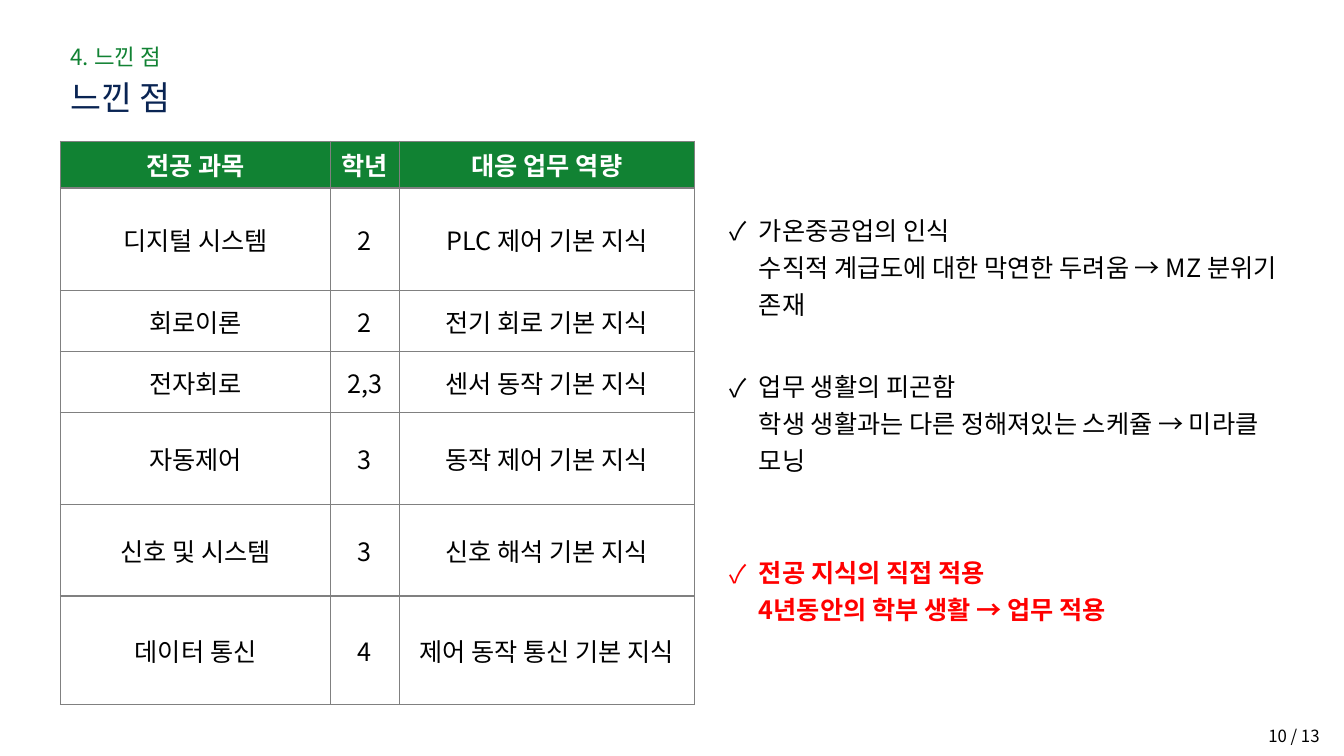
from lxml.etree import SubElement
from pptx import Presentation
from pptx.dml.color import RGBColor
from pptx.enum.text import MSO_ANCHOR as Anchor, PP_ALIGN as Align
from pptx.oxml.ns import qn
from pptx.util import Pt

FONT = "Noto Sans CJK KR"
GREEN, NAVY, GRAY = "118233", "092453", "808080"
BLACK, WHITE, RED = "000000", "FFFFFF", "FF0000"

SECTION = "4. 느낀 점"
TITLE = "느낀 점"
PAGE_NUMBER = "10 / 13"
SUBJECTS = [
    ("전공 과목", "학년", "대응 업무 역량"),
    ("디지털 시스템", "2", "PLC 제어 기본 지식"),
    ("회로이론", "2", "전기 회로 기본 지식"),
    ("전자회로", "2,3", "센서 동작 기본 지식"),
    ("자동제어", "3", "동작 제어 기본 지식"),
    ("신호 및 시스템", "3", "신호 해석 기본 지식"),
    ("데이터 통신", "4", "제어 동작 통신 기본 지식"),
]
COLUMN_WIDTHS = [193, 49, 211]
ROW_HEIGHTS = [33.5, 73.5, 43.5, 43.5, 65.5, 65.5, 77.5]
IMPRESSIONS = [
    ("가온중공업의 인식\v수직적 계급도에 대한 막연한 두려움 → MZ 분위기 존재",
     dict(before=0)),
    ("업무 생활의 피곤함\v학생 생활과는 다른 정해져있는 스케쥴 → 미라클 모닝",
     dict(before=32)),
    ("전공 지식의 직접 적용\v4년동안의 학부 생활 → 업무 적용",
     dict(before=53, color=RED, bold=True)),
]


def rgb(color):
    return RGBColor.from_string(color)


def write(para, text, size=18, color=BLACK, bold=False, align=Align.LEFT,
          spacing=1.0, before=0, bullet=None):
    para.text = text
    para.alignment = align
    para.line_spacing = spacing
    para.space_before = Pt(before)
    if bullet:
        layout = para._p.get_or_add_pPr()
        layout.set("marL", str(Pt(21)))
        layout.set("indent", str(-Pt(21)))
        SubElement(layout, qn("a:buFont"), typeface=FONT)
        SubElement(layout, qn("a:buChar"), char=bullet)
    for span in para.runs:
        span.font.size = Pt(size)
        span.font.bold = bold
        span.font.color.rgb = rgb(color)
        span.font.name = FONT
        SubElement(span._r.get_or_add_rPr(), qn("a:ea"), typeface=FONT)


def add_box(page, left, top, width, height, anchor=Anchor.TOP):
    box = page.shapes.add_textbox(Pt(left), Pt(top), Pt(width), Pt(height))
    box.text_frame.word_wrap = True
    box.text_frame.vertical_anchor = anchor
    return box.text_frame


def add_borders(cell):
    properties = cell._tc.get_or_add_tcPr()
    for position, side in enumerate(("lnL", "lnR", "lnT", "lnB")):
        line = properties.makeelement(qn(f"a:{side}"), {"w": str(Pt(1))})
        fill = SubElement(line, qn("a:solidFill"))
        SubElement(fill, qn("a:srgbClr"), val=GRAY)
        properties.insert(position, line)


def add_subjects(page, left, top):
    frame = page.shapes.add_table(
        len(ROW_HEIGHTS), len(COLUMN_WIDTHS), Pt(left), Pt(top),
        Pt(sum(COLUMN_WIDTHS)), Pt(sum(ROW_HEIGHTS)))
    table = frame.table
    for column, width in zip(table.columns, COLUMN_WIDTHS):
        column.width = Pt(width)
    for row, height in zip(table.rows, ROW_HEIGHTS):
        row.height = Pt(height)
    for row_index, texts in enumerate(SUBJECTS):
        header = row_index == 0
        for column_index, text in enumerate(texts):
            cell = table.cell(row_index, column_index)
            cell.margin_left = cell.margin_right = Pt(5)
            cell.vertical_anchor = Anchor.MIDDLE
            if header:
                cell.fill.solid()
                cell.fill.fore_color.rgb = rgb(GREEN)
            else:
                cell.fill.background()
            add_borders(cell)
            write(cell.text_frame.paragraphs[0], text, bold=header,
                  color=WHITE if header else BLACK, align=Align.CENTER)


def main():
    deck = Presentation()
    deck.slide_width, deck.slide_height = Pt(960), Pt(540)
    page = deck.slides.add_slide(deck.slide_layouts[6])

    title = add_box(page, 43.2, 54.7, 436, 62.6)
    write(title.paragraphs[0], TITLE, size=24, color=NAVY, spacing=0.9)
    section = add_box(page, 43.2, 28.8, 394.5, 25.2, anchor=Anchor.MIDDLE)
    write(section.paragraphs[0], SECTION, size=16, color=GREEN, spacing=0.9)

    add_subjects(page, 43.2, 100.8)

    body = add_box(page, 514, 145, 428.5, 324)
    for index, (text, style) in enumerate(IMPRESSIONS):
        para = body.add_paragraph() if index else body.paragraphs[0]
        write(para, text, spacing=1.23, bullet="✓", **style)

    number = add_box(page, 859.7, 514.8, 90, 21.6)
    write(number.paragraphs[0], PAGE_NUMBER, size=12, align=Align.RIGHT)
    deck.save("out.pptx")


if __name__ == "__main__":
    main()
